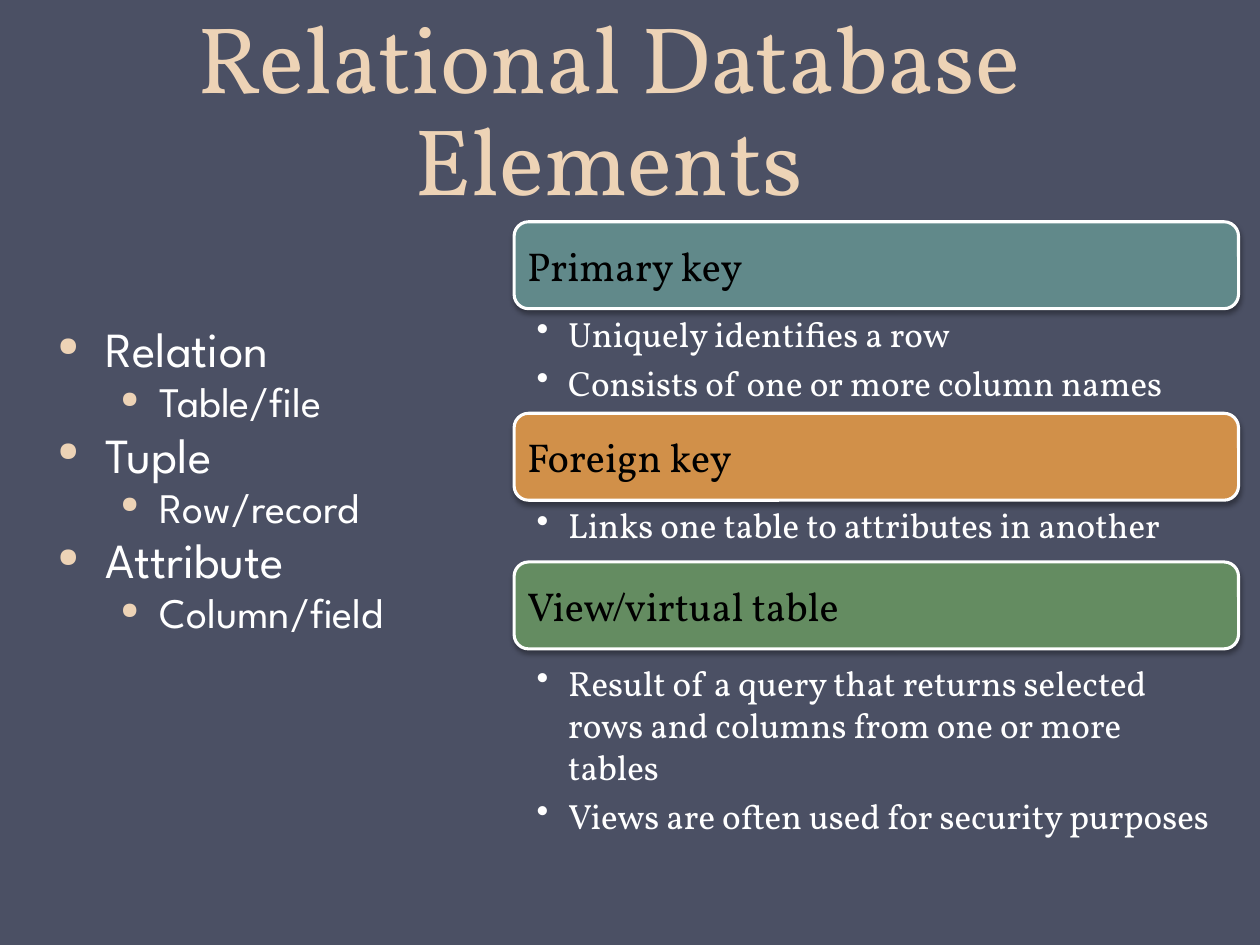
from lxml.etree import SubElement as Sub
from pptx import Presentation
from pptx.dml.color import RGBColor as Rgb
from pptx.enum.shapes import MSO_SHAPE as Kind
from pptx.enum.text import MSO_ANCHOR as Anchor, PP_ALIGN as Align
from pptx.oxml.ns import qn
from pptx.util import Inches, Pt

COLORS = {
    "back": "4B5064", "sand": "EDD3B6", "white": "FFFFFF", "black": "000000",
    "teal": "61898A", "orange": "D19049", "green": "648C61",
}
SERIF, SANS = "Vollkorn", "League Spartan"


class Deck:
    def __init__(self):
        self.prs = Presentation()
        self.prs.slide_width, self.prs.slide_height = Inches(10), Inches(7.5)
        self.slide = self.prs.slides.add_slide(self.prs.slide_layouts[5])
        fill = self.slide.background.fill
        fill.solid()
        fill.fore_color.rgb = self.color("back")

    def color(self, name):
        return Rgb.from_string(COLORS[name])

    def style(self, para, face, size, color):
        for run in para.runs:
            run.font.name, run.font.size = face, Pt(size)
            run.font.color.rgb = self.color(color)

    def inset(self, frame, left, top, right, bottom):
        frame.word_wrap = True
        frame.margin_left, frame.margin_right = Inches(left), Inches(right)
        frame.margin_top, frame.margin_bottom = Inches(top), Inches(bottom)

    def bullet(self, para, mark, left, hang, color=None, scale=None):
        props = para._p.get_or_add_pPr()
        props.set("marL", str(Inches(left)))
        props.set("indent", str(-Inches(hang)))
        if color:
            Sub(Sub(props, qn("a:buClr")), qn("a:srgbClr"), val=COLORS[color])
        if scale:
            Sub(props, qn("a:buSzPct"), val=str(scale * 1000))
        Sub(props, qn("a:buChar"), char=mark)

    def text(self, x, y, w, h):
        box = self.slide.shapes.add_textbox(
            Inches(x), Inches(y), Inches(w), Inches(h))
        box.text_frame.word_wrap = True
        return box.text_frame

    def title(self, text):
        head = self.slide.shapes.title
        head.left, head.top = Inches(0.33), Inches(0)
        head.width, head.height = Inches(9), Inches(1.75)
        frame = head.text_frame
        frame.text = text
        frame.vertical_anchor = Anchor.BOTTOM
        para = frame.paragraphs[0]
        para.alignment, para.line_spacing = Align.CENTER, Pt(58)
        self.style(para, SERIF, 54, "sand")

    def terms(self, pairs):
        frame = self.text(0.36, 2.57, 4.08, 2.56)
        frame.text = "\n".join(line for pair in pairs for line in pair)
        for i, para in enumerate(frame.paragraphs):
            level = i % 2
            size, left, hang = ((28, 0.38, 0.38), (24, 0.81, 0.31))[level]
            para.level, para.line_spacing = level, 0.8
            if i:
                para.space_before = Pt(size * 0.2)
            self.bullet(para, "●", left, hang, "sand", 55)
            self.style(para, SANS, size, "white")

    def bar(self, text, y, color):
        bar = self.slide.shapes.add_shape(
            Kind.ROUNDED_RECTANGLE, Inches(4.08), Inches(y),
            Inches(5.75), Inches(0.69))
        bar.fill.solid()
        bar.fill.fore_color.rgb = self.color(color)
        bar.line.color.rgb = self.color("white")
        bar.line.width = Pt(1.75)
        # Soft shadow below the bar
        bar.shadow.inherit = False
        glow = Sub(bar._element.spPr.find(qn("a:effectLst")),
                   qn("a:outerShdw"), blurRad=str(Pt(3.1)),
                   dist=str(Pt(1.8)), dir="5400000", rotWithShape="0")
        tint = Sub(glow, qn("a:srgbClr"), val=COLORS["black"])
        Sub(tint, qn("a:alpha"), val="35000")
        # Label
        frame = bar.text_frame
        self.inset(frame, 0.07, 0.07, 0.07, 0.07)
        frame.vertical_anchor = Anchor.MIDDLE
        frame.text = text
        frame.paragraphs[0].alignment = Align.LEFT
        self.style(frame.paragraphs[0], SERIF, 23, "black")

    def notes(self, lines, y, h):
        frame = self.text(4.08, y, 5.75, h)
        self.inset(frame, 0.18, 0.03, 0.16, 0.03)
        frame.text = "\n".join(lines)
        for para in frame.paragraphs:
            para.level, para.space_after = 1, Pt(4)
            self.bullet(para, "•", 0.25, 0.25)
            self.style(para, SERIF, 20, "white")


def main():
    deck = Deck()
    deck.title("Relational Database Elements")

    # Basic terms on the left
    deck.terms([("Relation", "Table/file"), ("Tuple", "Row/record"),
                ("Attribute", "Column/field")])

    # Keys and views on the right: label, colour, top, notes top and height
    parts = [
        ("Primary key", "teal", 1.76, 2.45, 0.83,
         ["Uniquely identifies a row",
          "Consists of one or more column names"]),
        ("Foreign key", "orange", 3.28, 3.97, 0.8,
         ["Links one table to attributes in another"]),
        ("View/virtual table", "green", 4.46, 5.22, 1.83,
         ["Result of a query that returns selected rows and columns "
          "from one or more tables",
          "Views are often used for security purposes"]),
    ]
    for label, color, top, low, tall, lines in parts:
        deck.bar(label, top, color)
        deck.notes(lines, low, tall)

    deck.prs.save("out.pptx")


if __name__ == "__main__":
    main()
